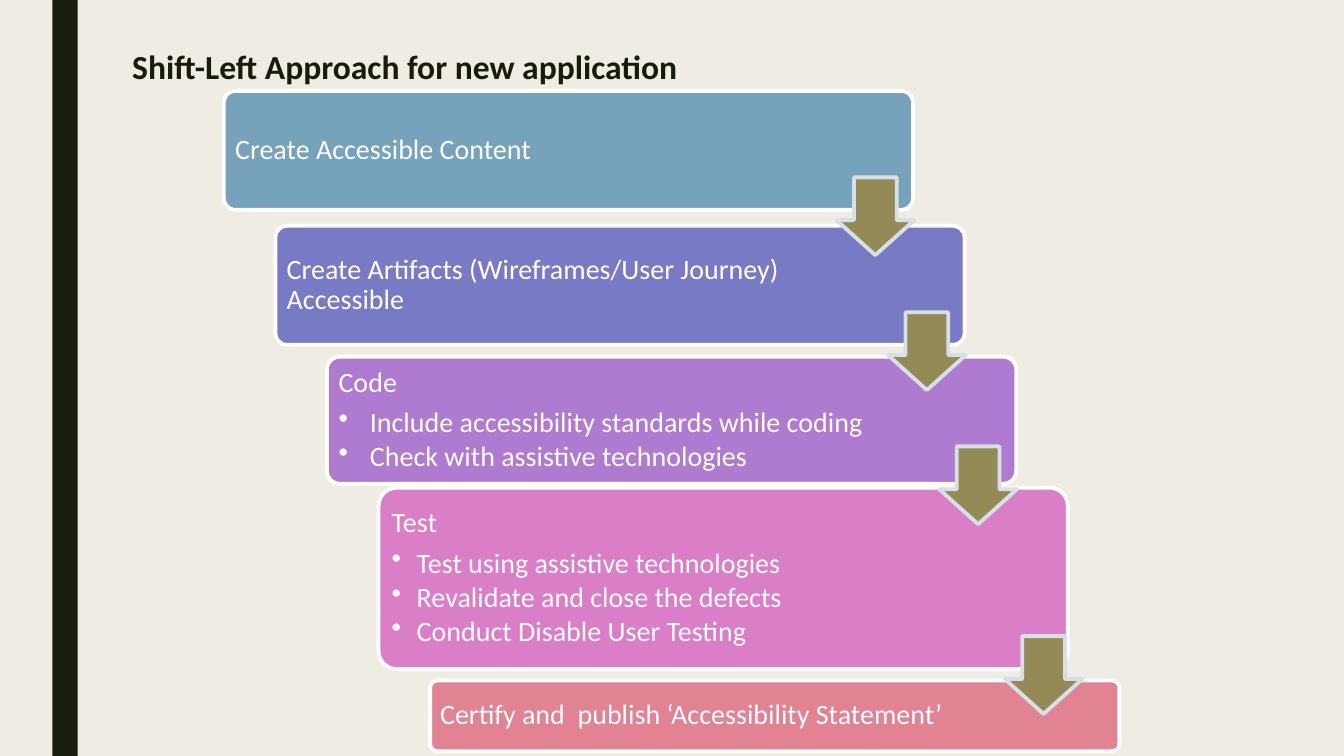
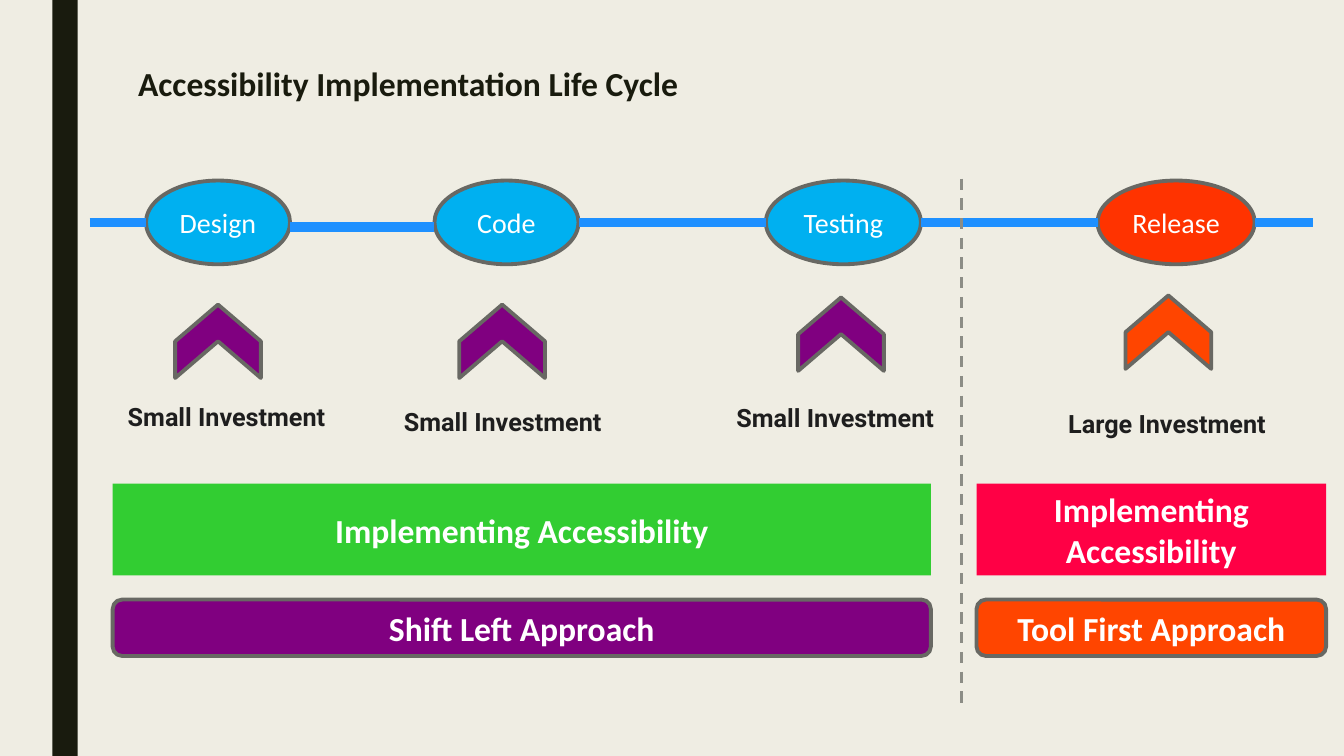
from dataclasses import dataclass
from typing import NamedTuple

from lxml.etree import SubElement
from pptx import Presentation
from pptx.dml.color import RGBColor
from pptx.enum.dml import MSO_LINE
from pptx.enum.shapes import MSO_CONNECTOR, MSO_SHAPE
from pptx.enum.text import MSO_ANCHOR, MSO_AUTO_SIZE, PP_ALIGN
from pptx.oxml.ns import qn
from pptx.shapes.autoshape import Shape
from pptx.shapes.connector import Connector
from pptx.slide import Slide
from pptx.text.text import TextFrame
from pptx.util import Cm, Pt


@dataclass(frozen=True)
class Theme:
    font: str = "Calibri"
    label_font: str = "Roboto"
    title_size: float = 24
    body_size: float = 20
    label_size: float = 18
    outline_width: float = 2.75
    rail_width: float = 6.75
    background: str = "EFEDE3"
    ink: str = "191B0E"
    label: str = "1E1E1E"
    white: str = "FFFFFF"
    outline: str = "686863"
    arrow: str = "948A55"
    arrow_outline: str = "D6E0E7"
    rail: str = "1E90FF"
    divider: str = "8C8D86"
    stage: str = "00B0F0"
    release: str = "FF3300"
    shift_left: str = "800080"
    tool_first: str = "FF4500"
    early: str = "32CD32"
    late: str = "FF0045"


THEME = Theme()


class Box(NamedTuple):
    """Left, top, width and height in centimetres."""
    left: float
    top: float
    width: float
    height: float


class Step(NamedTuple):
    top: float
    height: float
    color: str
    heading: str
    bullets: tuple[str, ...] = ()
    indent: float = 0.63


class Stage(NamedTuple):
    name: str
    left: float
    width: float
    color: str
    chevron: tuple[float, float]
    chevron_color: str
    investment: str
    label: tuple[float, float]


class Bar(NamedTuple):
    text: str
    box: Box
    color: str
    rounded: bool


STEP_LEFT, STEP_SHIFT, STEP_WIDTH = 5.64, 1.3, 17.37
STEPS = (
    Step(2.29, 3, "77A2BB", "Create Accessible Content"),
    Step(5.69, 3, "797AC6", "Create Artifacts (Wireframes/User Journey) Accessible"),
    Step(8.99, 3.2, "AE7BD0", "Code",
         ("Include accessibility standards while coding",
          "Check with assistive technologies"), 0.79),
    Step(12.29, 4.57, "DA7FC7", "Test",
         ("Test using assistive technologies",
          "Revalidate and close the defects",
          "Conduct Disable User Testing")),
    Step(17.15, 1.78, "E28394", "Certify and  publish ‘Accessibility Statement’"),
)
ARROW_SIZE = 1.96
ARROWS = ((21.08, 4.47), (22.38, 7.87), (23.67, 11.25), (25.32, 16.03))

STAGES = (
    Stage("Design", 3.68, 3.63, THEME.stage, (4.57, 7.52), THEME.shift_left,
          "Small Investment", (2.97, 9.98)),
    Stage("Code", 10.95, 3.63, THEME.stage, (11.73, 7.52), THEME.shift_left,
          "Small Investment", (9.93, 10.11)),
    Stage("Testing", 19.3, 3.91, THEME.stage, (20.27, 7.34), THEME.shift_left,
          "Small Investment", (18.31, 10.01)),
    Stage("Release", 27.66, 3.96, THEME.release, (28.52, 7.29), THEME.tool_first,
          "Large Investment", (26.67, 10.16)),
)
RAIL_START, RAIL_END = 2.26, 33.1
RAIL_HEIGHTS = (5.61, 5.72, 5.61, 5.61, 5.61)
BARS = (
    Bar("Implementing Accessibility", Box(2.84, 12.19, 20.62, 2.31), THEME.early, False),
    Bar("Implementing Accessibility", Box(24.61, 12.19, 8.81, 2.31), THEME.late, False),
    Bar("Shift Left Approach", Box(2.84, 15.11, 20.62, 1.42), THEME.shift_left, True),
    Bar("Tool First Approach", Box(24.61, 15.11, 8.81, 1.42), THEME.tool_first, True),
)


def rgb(color: str) -> RGBColor:
    return RGBColor.from_string(color)


def lengths(box: Box) -> list[Cm]:
    return [Cm(value) for value in box]


def format_text(tf: TextFrame, size: float, color: str, bold: bool = False,
                font: str = THEME.font, align: PP_ALIGN = PP_ALIGN.LEFT) -> None:
    for p in tf.paragraphs:
        p.alignment = align
        for r in p.runs:
            r.font.name, r.font.size, r.font.bold = font, Pt(size), bold
            r.font.color.rgb = rgb(color)


def set_margins(tf: TextFrame, margin: float) -> None:
    tf.margin_left = tf.margin_top = tf.margin_right = tf.margin_bottom = Cm(margin)


def add_box(slide: Slide, kind: MSO_SHAPE, box: Box, fill: str,
            outline: str | None = None) -> Shape:
    sp = slide.shapes.add_shape(kind, *lengths(box))
    sp.shadow.inherit = False
    sp.fill.solid()
    sp.fill.fore_color.rgb = rgb(fill)
    if outline:
        sp.line.color.rgb = rgb(outline)
        sp.line.width = Pt(THEME.outline_width)
    else:
        sp.line.fill.background()
    return sp


def add_centred_text(sp: Shape, text: str, size: float, bold: bool = False) -> None:
    tf = sp.text_frame
    tf.text = text
    tf.word_wrap = True
    tf.vertical_anchor = MSO_ANCHOR.MIDDLE
    format_text(tf, size, THEME.white, bold, align=PP_ALIGN.CENTER)


def add_line(slide: Slide, start: tuple[float, float], end: tuple[float, float],
             color: str, width: float) -> Connector:
    line = slide.shapes.add_connector(
        MSO_CONNECTOR.STRAIGHT, Cm(start[0]), Cm(start[1]), Cm(end[0]), Cm(end[1]))
    line.line.color.rgb = rgb(color)
    line.line.width = Pt(width)
    SubElement(line._element.spPr, qn("a:effectLst"))
    return line


def add_titled_slide(prs: Presentation, title: str, box: Box) -> Slide:
    slide = prs.slides.add_slide(prs.slide_layouts[5])
    sp = slide.shapes.title
    sp.left, sp.top, sp.width, sp.height = lengths(box)
    tf = sp.text_frame
    tf.text = title
    tf.auto_size = MSO_AUTO_SIZE.NONE
    tf.vertical_anchor = MSO_ANCHOR.MIDDLE
    set_margins(tf, 0)
    tf.paragraphs[0].line_spacing = 0.89
    format_text(tf, THEME.title_size, THEME.ink, bold=True)
    return slide


def share_band(slide: Slide) -> None:
    """Put the side band on the layout, so that every slide shows it."""
    band = add_box(slide, MSO_SHAPE.RECTANGLE, Box(1.32, 0, 0.64, 19.05), THEME.ink)
    slide.slide_layout.shapes.element.insert(2, band.element)


def add_step(slide: Slide, step: Step, left: float) -> None:
    sp = add_box(slide, MSO_SHAPE.ROUNDED_RECTANGLE,
                 Box(left, step.top, STEP_WIDTH, step.height), step.color, THEME.white)
    sp.adjustments[0] = 0.1
    tf = sp.text_frame
    tf.text = "\n".join((step.heading, *step.bullets))
    tf.word_wrap = True
    tf.vertical_anchor = MSO_ANCHOR.MIDDLE
    set_margins(tf, 0.2)
    tf.margin_right = Cm(3.5)
    format_text(tf, THEME.body_size, THEME.white)
    for i, p in enumerate(tf.paragraphs):
        p.line_spacing = 0.9
        p.space_after = Pt(3 if i else 7)
        if i:
            pPr = p._p.get_or_add_pPr()
            pPr.set("marL", str(Cm(step.indent)))
            pPr.set("indent", str(-Cm(step.indent)))
            SubElement(pPr, qn("a:buChar"), char="•")


def build_approach(prs: Presentation) -> None:
    slide = add_titled_slide(prs, "Shift-Left Approach for new application",
                             Box(3.33, 0.13, 23.95, 3.18))
    share_band(slide)
    for i, step in enumerate(STEPS):
        add_step(slide, step, STEP_LEFT + i * STEP_SHIFT)
    for left, top in ARROWS:
        arrow = add_box(slide, MSO_SHAPE.DOWN_ARROW,
                        Box(left, top, ARROW_SIZE, ARROW_SIZE),
                        THEME.arrow, THEME.arrow_outline)
        arrow.adjustments[0], arrow.adjustments[1] = 0.55, 0.45


def add_stage(slide: Slide, stage: Stage) -> None:
    """Draw the stage with its chevron and investment label."""
    oval = add_box(slide, MSO_SHAPE.FLOWCHART_CONNECTOR,
                   Box(stage.left, 4.55, stage.width, 2.11), stage.color, THEME.outline)
    add_centred_text(oval, stage.name, THEME.body_size)
    chevron = add_box(slide, MSO_SHAPE.CHEVRON, Box(*stage.chevron, 1.85, 2.16),
                      stage.chevron_color, THEME.outline)
    chevron.rotation = 270
    label = slide.shapes.add_textbox(*lengths(Box(*stage.label, 5.8, 1.02)))
    label.text_frame.text = stage.investment
    format_text(label.text_frame, THEME.label_size, THEME.label, bold=True,
                font=THEME.label_font)


def build_life_cycle(prs: Presentation) -> None:
    slide = add_titled_slide(prs, "Accessibility Implementation Life Cycle",
                             Box(3.48, 1.5, 14.94, 1.3))
    for stage in STAGES:
        add_stage(slide, stage)
    starts = [RAIL_START, *(s.left + s.width for s in STAGES)]
    ends = [*(s.left for s in STAGES), RAIL_END]
    for start, end, y in zip(starts, ends, RAIL_HEIGHTS):
        add_line(slide, (start, y), (end, y), THEME.rail, THEME.rail_width)
    divider = add_line(slide, (24.23, 4.5), (24.23, 17.75), THEME.divider, 2)
    divider.line.dash_style = MSO_LINE.DASH
    for bar in BARS:
        kind = MSO_SHAPE.ROUNDED_RECTANGLE if bar.rounded else MSO_SHAPE.RECTANGLE
        sp = add_box(slide, kind, bar.box, bar.color,
                     THEME.outline if bar.rounded else None)
        add_centred_text(sp, bar.text, THEME.title_size, bold=True)


def main() -> None:
    prs = Presentation()
    prs.slide_width, prs.slide_height = Cm(33.87), Cm(19.05)
    fill = prs.slide_master.background.fill
    fill.solid()
    fill.fore_color.rgb = rgb(THEME.background)
    build_approach(prs)
    build_life_cycle(prs)
    prs.save("out.pptx")


if __name__ == "__main__":
    main()
